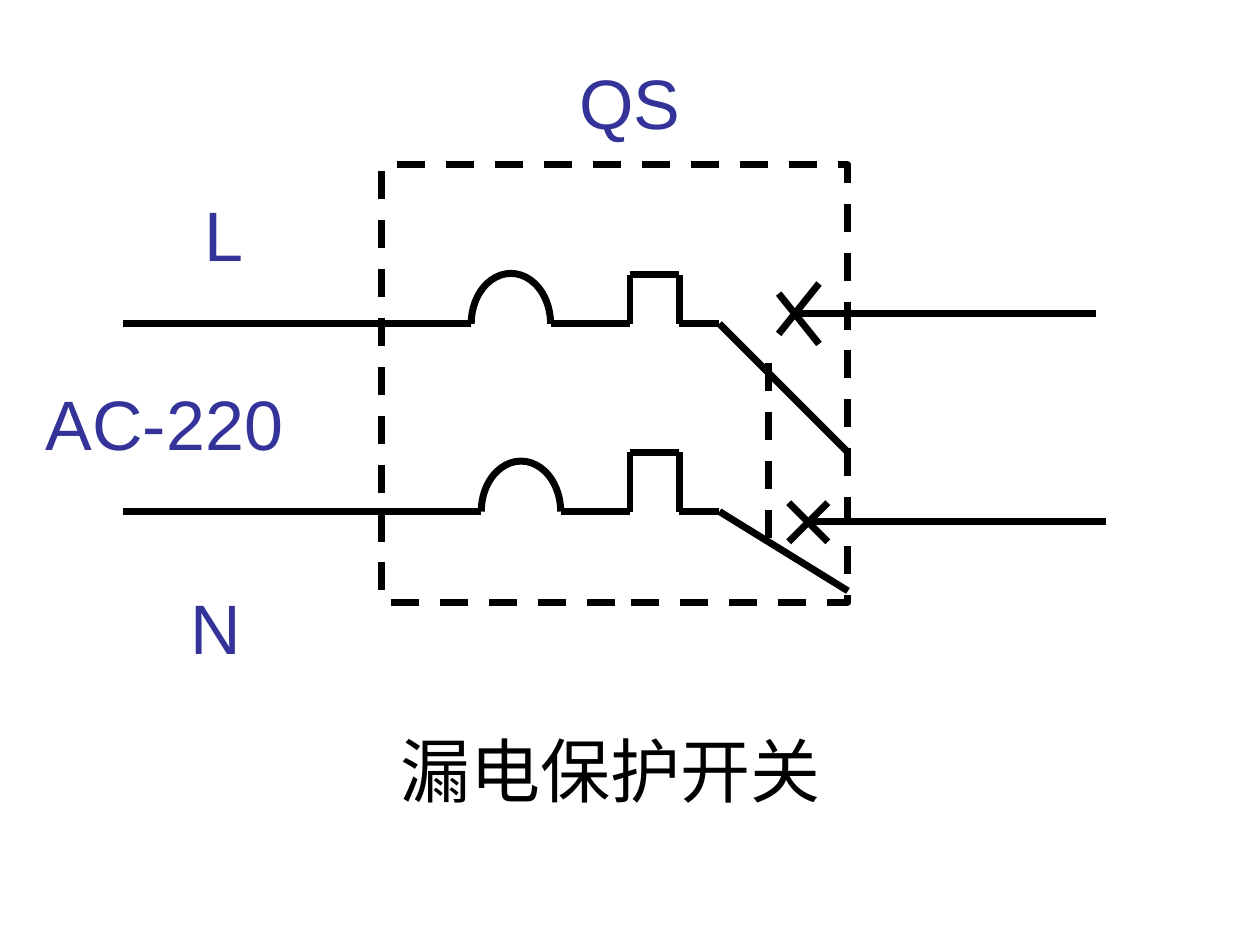
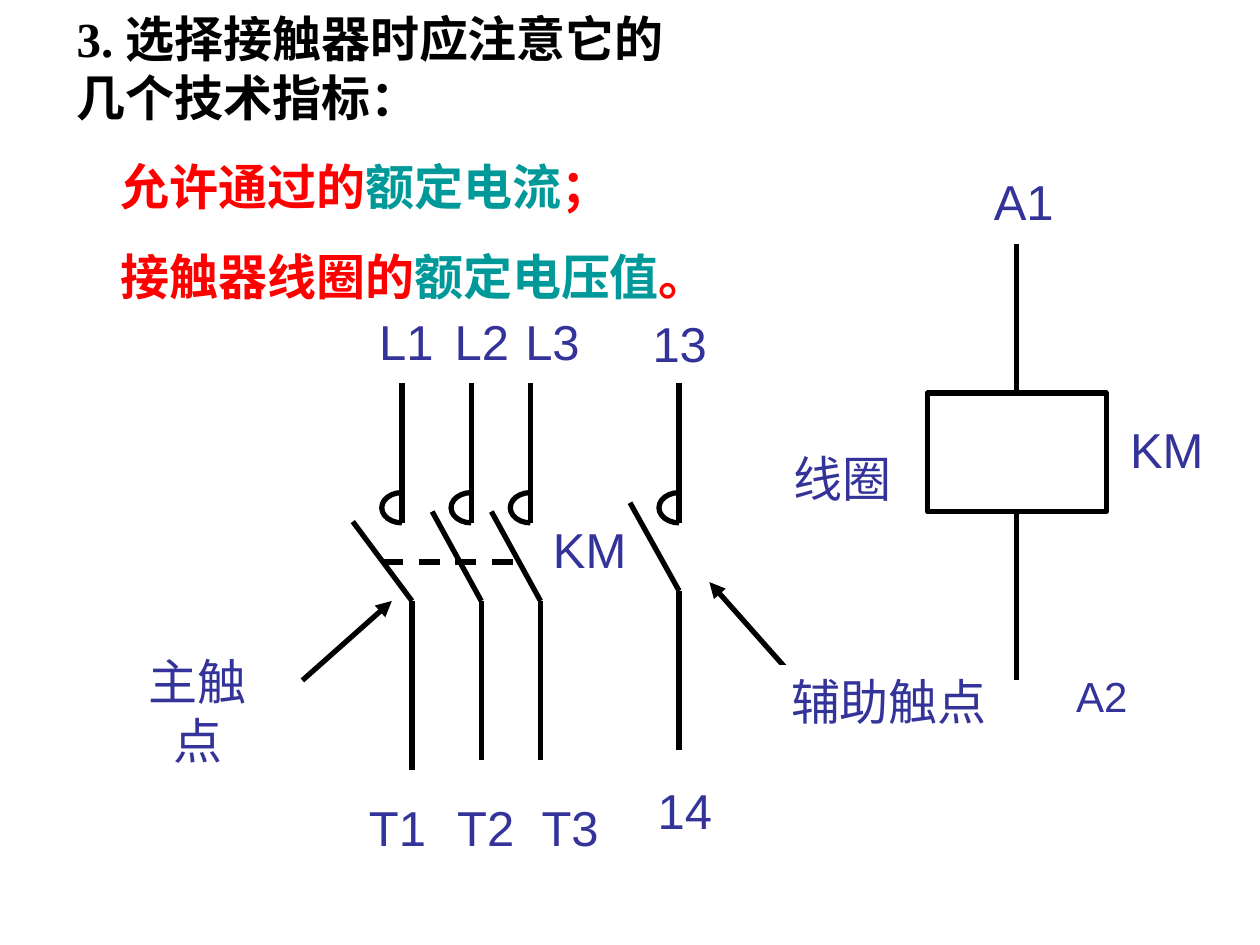
from lxml import etree
from pptx import Presentation
from pptx import util as u
from pptx.dml import color as c
from pptx.enum import dml, shapes, text
from pptx.oxml import ns

COLORS = {"ink": "000000", "paper": "FFFFFF", "label": "333399",
          "red": "FF0000", "teal": "009999"}
RGB = {name: c.RGBColor.from_string(value) for name, value in COLORS.items()}
RECT = shapes.MSO_SHAPE.RECTANGLE
ARC = shapes.MSO_SHAPE.ARC

deck = Presentation()
deck.slide_width, deck.slide_height = u.Inches(10), u.Inches(7.5)
COL = deck.slide_width / 100
ROW = deck.slide_height / 75


def add_line(page, x1, y1, x2, y2, weight, dashed=False, arrow=False):
    line = page.shapes.add_connector(
        shapes.MSO_CONNECTOR.STRAIGHT,
        round(x1 * COL), round(y1 * ROW), round(x2 * COL), round(y2 * ROW))
    line.line.color.rgb = RGB["ink"]
    line.line.width = u.Pt(weight)
    if dashed:
        line.line.dash_style = dml.MSO_LINE.DASH
    if arrow:
        tail = etree.SubElement(line.line._get_or_add_ln(), ns.qn("a:tailEnd"))
        tail.set("type", "triangle")
    etree.SubElement(line._element.spPr, ns.qn("a:effectLst"))
    return line


def add_figure(page, kind, x, y, w, h, weight=0.75, ink="ink",
               caption="", size=28, color="label", wrap=False):
    box = page.shapes.add_shape(
        kind, round(x * COL), round(y * ROW), round(w * COL), round(h * ROW))
    box.shadow.inherit = False
    if kind == ARC:
        box.fill.background()
    else:
        box.fill.solid()
        box.fill.fore_color.rgb = RGB["paper"]
    box.line.color.rgb = RGB[ink]
    box.line.width = u.Pt(weight)
    if caption:
        frame = box.text_frame
        frame.text = caption
        frame.word_wrap = wrap
        frame.vertical_anchor = text.MSO_ANCHOR.MIDDLE
        para = frame.paragraphs[0]
        para.alignment = text.PP_ALIGN.CENTER
        span = para.runs[0]
        span.font.name = "Arial"
        span.font.size = u.Pt(size)
        span.font.color.rgb = RGB[color]
    return box


breaker = deck.slides.add_slide(deck.slide_layouts[6])
housing = add_figure(breaker, RECT, 30.3, 13.1, 37, 34.7, 4)
housing.line.dash_style = dml.MSO_LINE.DASH

poles = [
    (25.7, 37.4, 21.8, 35.9, 24.9, 63.4),
    (40.6, 38.2, 35.9, 46.9, 41.4, 64.2),
]
for wire, bump, step, blade_end, outlet, outlet_left in poles:
    route = [(50, wire), (50, step), (53.9, step), (53.9, wire),
             (57.1, wire), (67.3, blade_end)]
    add_line(breaker, 9.8, wire, bump, wire, 4)
    add_line(breaker, bump + 6.3, wire, 50, wire, 4)
    for start, end in zip(route, route[1:]):
        add_line(breaker, *start, *end, 4)
    add_line(breaker, outlet_left, outlet, outlet_left + 23.6, outlet, 4)
    arc = add_figure(breaker, ARC, bump, wire - 4, 6.3, 8, 4)
    arc.adjustments[0], arc.adjustments[1] = 108, 0

for cross in [(61.8, 23.3, 65, 27.3), (65, 22.5, 61.8, 26.5),
              (62.6, 39.9, 65.7, 43), (65.7, 39.9, 62.6, 43)]:
    add_line(breaker, *cross, 4)
add_line(breaker, 61, 28.8, 61, 43, 4, dashed=True)

for caption, x, y, w, color in [
        ("QS", 45, 4.2, 10, "label"), ("L", 15.2, 14.7, 5.1, "label"),
        ("N", 14.1, 45.9, 6, "label"), ("AC-220", 2, 29.7, 22.1, "label"),
        ("漏电保护开关", 30.8, 57.2, 35.3, "ink")]:
    add_figure(breaker, RECT, x, y, w, 7.7, ink="paper",
               caption=caption, size=40, color=color)

contactor = deck.slides.add_slide(deck.slide_layouts[6])
box = contactor.shapes.add_textbox(
    round(5.1 * COL), round(0.2 * ROW), round(50.4 * COL), round(24.6 * ROW))
frame = box.text_frame
frame.word_wrap = True
advice = [
    [("3. 选择接触器时应注意它的几个技术指标：", "ink")],
    [("允许通过的", "red"), ("额定电流", "teal"), ("；", "red")],
    [("接触器线圈的", "red"), ("额定电压值", "teal"), ("。", "red")],
]
for index, parts in enumerate(advice):
    para = frame.paragraphs[0]
    if index:
        para = frame.add_paragraph()
        para.space_before = u.Pt(17.5)
        para._p.get_or_add_pPr().set("indent", str(u.Inches(0.35)))
    for words, color in parts:
        span = para.add_run()
        span.text = words
        span.font.name = "Times New Roman"
        span.font.size = u.Pt(28)
        span.font.bold = True
        span.font.color.rgb = RGB[color]

add_line(contactor, 30.3, 44.6, 41.3, 44.6, 3, dashed=True)
add_figure(contactor, RECT, 41.3, 40.7, 11, 5.7, ink="paper", caption="KM")

contacts = [
    (31.9, 28, 41.4, 32.7, 47.7, 61.1),
    (37.4, 34.3, 40.6, 38.2, 47.7, 60.3),
    (42.1, 39, 40.6, 42.9, 47.7, 60.3),
    (53.9, 50, 39.9, 53.9, 46.9, 59.5),
]
for top, tip, tip_row, pivot, pivot_row, bottom in contacts:
    add_line(contactor, top, 30.4, top, 41.5, 3)
    add_line(contactor, tip, tip_row, pivot, pivot_row, 3)
    add_line(contactor, pivot, pivot_row, pivot, bottom, 3)
    arc = add_figure(contactor, ARC, top - 1.6, 39.1, 3.2, 2.4, 3)
    arc.adjustments[0], arc.adjustments[1] = 54, 162

add_line(contactor, 24, 54, 31.1, 47.7, 3, arrow=True)
add_line(contactor, 62.6, 53.3, 56.3, 46.2, 3, arrow=True)

coil = add_figure(contactor, RECT, 73.6, 31.2, 14.2, 9.4, 3)
for side, start, end in [(0, 31.2, 19.4), (2, 40.6, 54)]:
    lead = add_line(contactor, 80.7, start, 80.7, end, 3)
    lead.begin_connect(coil, side)

for caption, x, y, w, h, size in [
        ("L1", 28.7, 24.2, 7.1, 5.7, 28), ("L2", 34.3, 24.2, 7.9, 5.7, 28),
        ("L3", 40.7, 24.2, 6.3, 5.7, 28), ("13", 50.8, 24.4, 6.3, 5.7, 28),
        ("T1", 28, 62.8, 7.1, 5.7, 28), ("T2", 35, 62.8, 7.1, 5.7, 28),
        ("T3", 41.3, 62.8, 7.9, 5.7, 28), ("14", 51.2, 61.4, 6.3, 5.7, 28),
        ("主触点", 9, 51.2, 13.4, 10.4, 28),
        ("辅助触点", 61.8, 52.8, 17.5, 5.7, 28),
        ("线圈", 61, 35.1, 11.8, 5.7, 28), ("KM", 88.7, 32.8, 7.8, 5.7, 28),
        ("A1", 77.9, 13.1, 6.7, 5.7, 28), ("A2", 84.4, 52.7, 6.1, 5, 24)]:
    add_figure(contactor, RECT, x, y, w, h, ink="paper", caption=caption,
               size=size, wrap=caption == "主触点")

deck.save("out.pptx")
